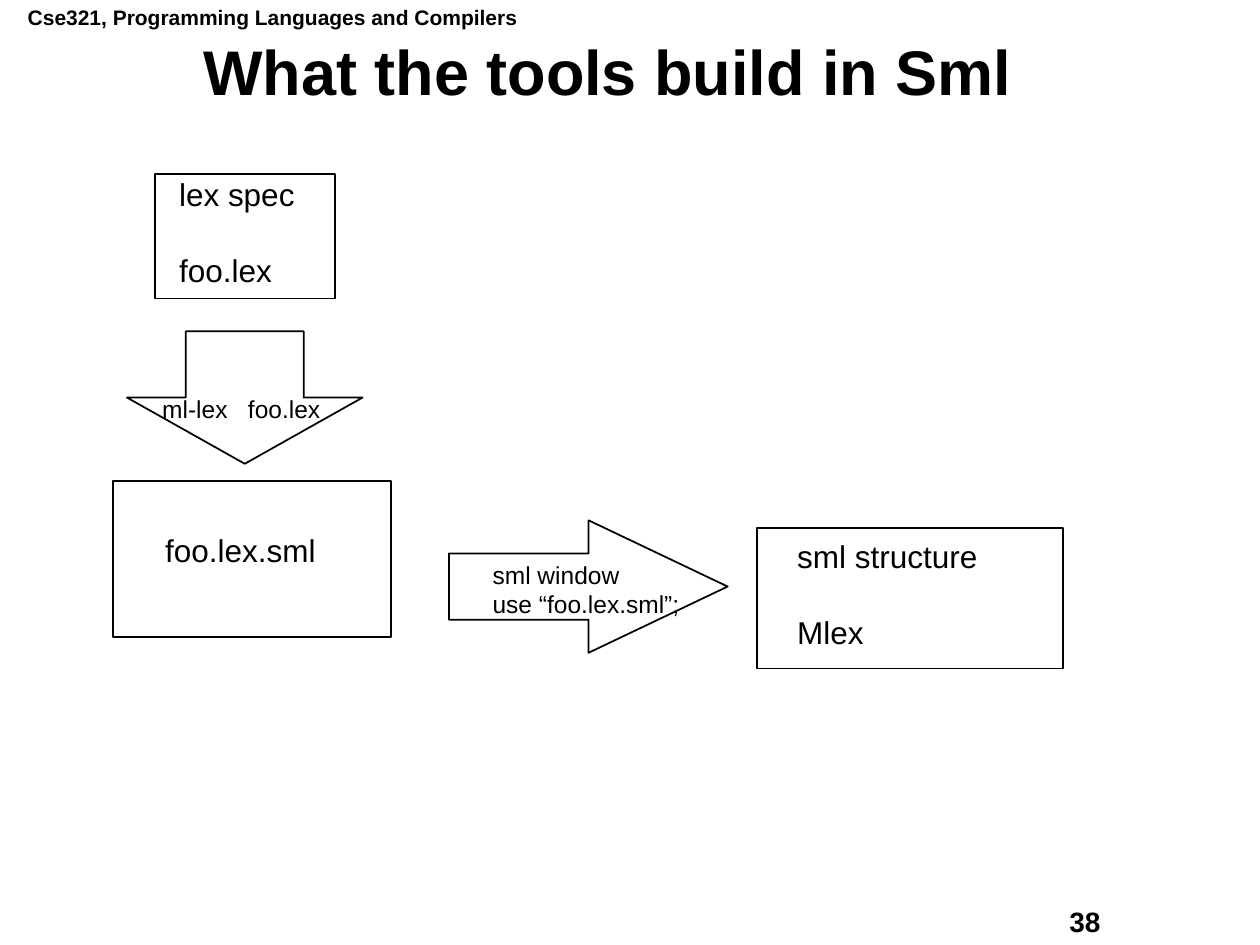
from lxml.etree import SubElement
from pptx import Presentation
from pptx.dml.color import RGBColor
from pptx.enum.shapes import MSO_SHAPE
from pptx.enum.text import MSO_ANCHOR, MSO_AUTO_SIZE, PP_ALIGN
from pptx.oxml.ns import qn
from pptx.util import Cm, Pt

COLOURS = {"ink": "000000", "paper": "FFFFFF"}
FONT = "Arial"
COMMAND_TAB = 1.73  # from the tool name to its argument

# Places are left, top, width, height in centimetres
STAGES = [
    (MSO_SHAPE.RECTANGLE, (3.12, 3.51, 3.63, 2.51), None),
    (MSO_SHAPE.DOWN_ARROW, (2.56, 6.68, 4.75, 2.67), (0.5, 0.5)),
    (MSO_SHAPE.RECTANGLE, (2.28, 9.7, 5.6, 3.15), None),
    (MSO_SHAPE.RIGHT_ARROW, (9.05, 10.49, 5.62, 2.67), (0.5, 1.05)),
    (MSO_SHAPE.RECTANGLE, (15.26, 10.64, 6.17, 2.84), None),
]

HEADING = {"size": Pt(12), "bold": True}
NUMBER = {"size": Pt(16), "bold": True}
TITLE = {"size": Pt(36), "bold": True}
STAGE = {"size": Pt(18), "bold": False}
COMMAND = {"size": Pt(14), "bold": False}

# Lines, place, format, gap between lines in points
LABELS = [
    (["Cse321, Programming Languages and Compilers"],
     (0.31, -0.03, 11.5, 0.76), HEADING, 0),
    (["38"], (21.31, 18.1, 3.23, 0.91), NUMBER, 0),
    (["lex spec", "foo.lex"], (3.36, 3.4, 3.3, 2.54), STAGE, 22),
    (["ml-lex\tfoo.lex"], (3.02, 7.81, 6.93, 0.84), COMMAND, 0),
    (["foo.lex.sml"], (3.08, 10.59, 4.5, 1.02), STAGE, 0),
    (["sml window", "use “foo.lex.sml”;"],
     (9.68, 11.16, 4.9, 1.42), COMMAND, 0),
    (["sml structure", "Mlex"], (15.82, 10.7, 5.54, 2.54), STAGE, 22),
]


def colour(name):
    return RGBColor.from_string(COLOURS[name])


def add_stage(slide, kind, place, adjustments):
    stage = slide.shapes.add_shape(kind, *map(Cm, place))
    for index, value in enumerate(adjustments or ()):
        stage.adjustments[index] = value
    stage.shadow.inherit = False
    stage.fill.solid()
    stage.fill.fore_color.rgb = colour("paper")
    stage.line.color.rgb = colour("ink")
    stage.line.width = Pt(1)


def add_label(slide, lines, place, style, gap):
    label = slide.shapes.add_textbox(*map(Cm, place))
    frame = label.text_frame
    frame.word_wrap = True
    frame.auto_size = MSO_AUTO_SIZE.SHAPE_TO_FIT_TEXT
    for index, line in enumerate(lines):
        paragraph = frame.add_paragraph() if index else frame.paragraphs[0]
        if "\t" in line:
            stops = SubElement(paragraph._p.get_or_add_pPr(), qn("a:tabLst"))
            SubElement(stops, qn("a:tab"), pos=str(Cm(COMMAND_TAB)), algn="l")
        if index and gap:
            paragraph.space_before = Pt(gap)
        run = paragraph.add_run()
        run.text = line
        for attribute, value in {"name": FONT, **style}.items():
            setattr(run.font, attribute, value)
        run.font.color.rgb = colour("ink")
    return frame


def main():
    deck = Presentation()
    deck.slide_width, deck.slide_height = Cm(25.4), Cm(19.05)
    slide = deck.slides.add_slide(deck.slide_layouts[6])

    title = add_label(slide, ["What the tools build in Sml"],
                      (0.78, 0.8, 22.94, 1.42), TITLE, 0)
    title.auto_size = MSO_AUTO_SIZE.NONE
    title.vertical_anchor = MSO_ANCHOR.MIDDLE
    title.paragraphs[0].alignment = PP_ALIGN.CENTER
    title.paragraphs[0].line_spacing = 0.9

    for stage in STAGES:
        add_stage(slide, *stage)
    for label in LABELS:
        add_label(slide, *label)

    deck.save("out.pptx")


if __name__ == "__main__":
    main()
